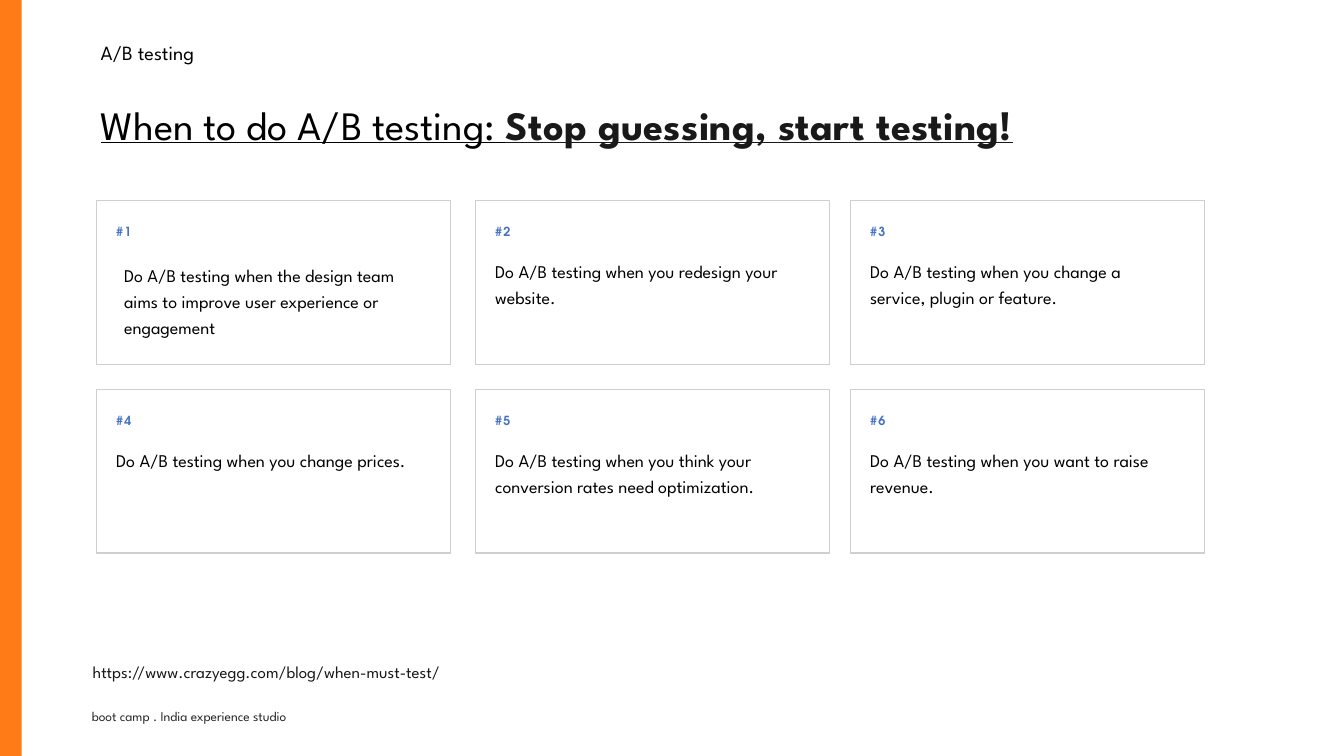
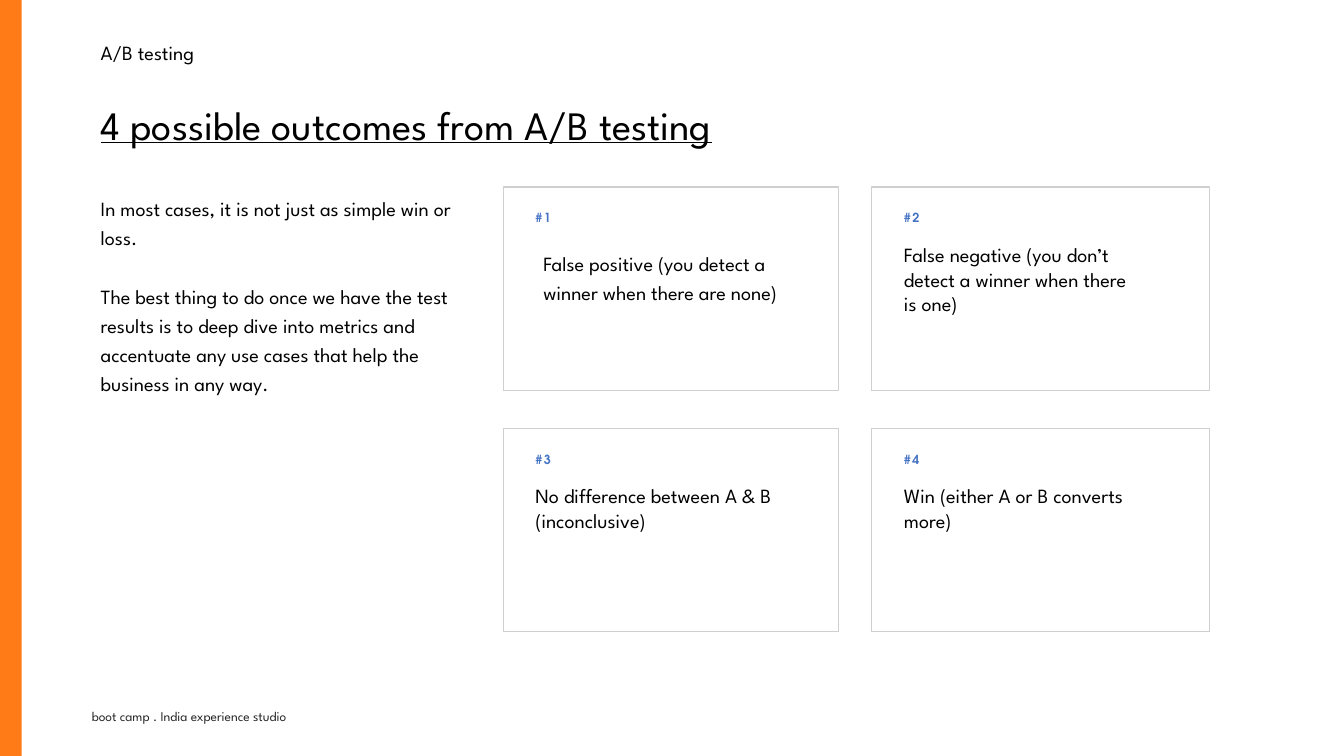
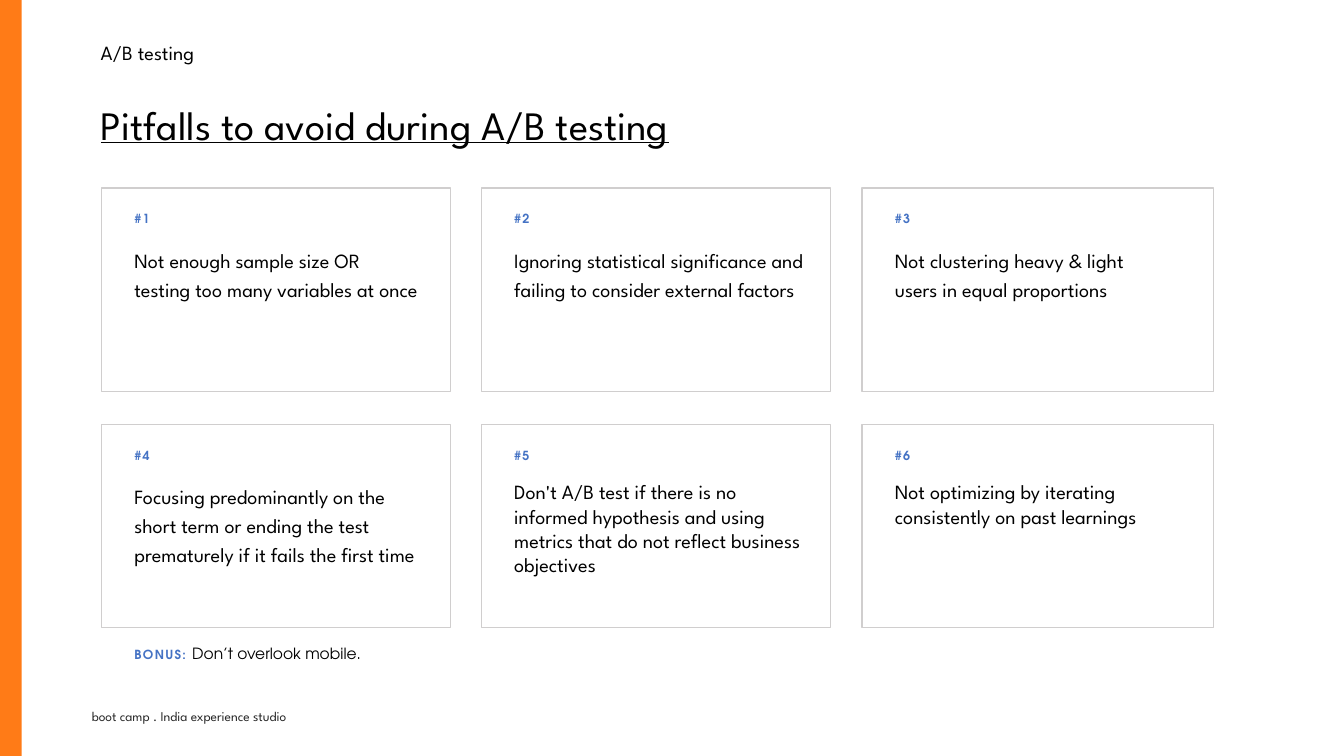
from pptx import Presentation
from pptx.dml.color import RGBColor
from pptx.enum.shapes import MSO_SHAPE as SHAPE
from pptx.enum.text import MSO_ANCHOR as ANCHOR, MSO_AUTO_SIZE as AUTO, PP_ALIGN as ALIGN
from pptx.util import Pt

# Shared look
WIDTH, HEIGHT = 1200, 675
SPARTAN, ADVENTOR = "League Spartan", "TeX Gyre Adventor"
ORANGE, BLUE, GREY = "FF7B17", "4472C4", "D0CECE"
BLACK, INK, FOOT, WHITE = "000000", "191919", "262626", "FFFFFF"
MARGIN = 82.8
SECTION = "A/B testing"
FOOTER = "boot camp . India experience studio"
TEXT_DY, LABEL_DY = 49.7, 20.9

# Cards: (paragraphs, line spacing, whether the text box keeps its insets)
SLIDES = [
    dict(
        title="When to do A/B testing: ",
        strong="Stop guessing, start testing!",
        lefts=[86.4, 424.8, 759.6], widths=[316, 316, 316],
        tops=[179.3, 347.8], height=146,
        indent=17.3, text_widths=[277.2] * 3, size=16,
        cards=[
            (["Do A/B testing when the design team aims to improve user "
              "experience or engagement"], 1.2, True),
            (["Do A/B testing when you redesign your website."], 1.2, False),
            (["Do A/B testing when you change a service, plugin or feature."], 1.2, False),
            (["Do A/B testing when you change prices."], 1.2, False),
            (["Do A/B testing when you think your conversion rates need "
              "optimization."], 1.2, False),
            (["Do A/B testing when you want to raise revenue."], 1.2, False),
        ],
    ),
    dict(
        title="4 possible outcomes from A/B testing",
        lefts=[449.3, 778.3], widths=[299.5, 301.7],
        tops=[167, 382.3], height=181.4,
        indent=28.8, text_widths=[249.8, 208.1], size=18,
        cards=[
            (["False positive (you detect a winner when there are none)"], 1.2, True),
            (["False negative (you don’t detect a winner when there is one)"], 1, False),
            (["No difference between A & B (inconclusive)"], 1, False),
            (["Win (either A or B converts more)"], 1, False),
        ],
    ),
    dict(
        title="Pitfalls to avoid during A/B testing",
        lefts=[90.7, 429.8, 769.7], widths=[311.8, 311.8, 313.9],
        tops=[167.8, 378.7], height=181.4,
        indent=29.3, text_widths=[260, 260, 217], size=18,
        cards=[
            (["Not enough sample size OR", "testing too many variables at once"], 1.2, False),
            (["Ignoring statistical significance and failing to consider "
              "external factors"], 1.2, False),
            (["Not clustering heavy & light users in equal proportions"], 1.2, False),
            (["Focusing predominantly on the short term or ending the test "
              "prematurely if it fails the first time"], 1.2, False),
            (["Don't A/B test if there is no informed hypothesis and using "
              "metrics that do not reflect business objectives"], 1, False),
            (["Not optimizing by iterating consistently on past learnings"], 1, False),
        ],
    ),
]
SOURCE = "https://www.crazyegg.com/blog/when-must-test/"
INTRO = [
    "In most cases, it is not just as simple win or loss.",
    "The best thing to do once we have the test results is to deep dive into "
    "metrics and accentuate any use cases that help the business in any way.",
]
BONUS = ("BONUS: ", "Don’t overlook mobile.")


def rgb(value):
    return RGBColor.from_string(value)


def set_font(font, size, color, name=SPARTAN, bold=False):
    font.name, font.size, font.bold = name, Pt(size), bold
    font.color.rgb = rgb(color)


def add_run(p, text, spacing=0):
    """Add a run with letter spacing in points."""
    r = p.add_run()
    r.text = text
    if spacing:
        r._r.get_or_add_rPr().set("spc", str(round(spacing * 100)))
    return r


def add_rect(s, x, y, w, h, fill, line=None):
    sp = s.shapes.add_shape(SHAPE.RECTANGLE, Pt(x), Pt(y), Pt(w), Pt(h))
    sp.shadow.inherit = False
    sp.fill.solid()
    sp.fill.fore_color.rgb = rgb(fill)
    if line:
        sp.line.color.rgb = rgb(line)
        sp.line.width = Pt(1)
    else:
        sp.line.fill.background()


def add_box(s, x, y, w, h, inset=False):
    tf = s.shapes.add_textbox(Pt(x), Pt(y), Pt(w), Pt(h)).text_frame
    tf.word_wrap = True
    if not inset:
        tf.margin_left = tf.margin_right = tf.margin_top = tf.margin_bottom = 0
    return tf


def add_text(s, x, y, w, h, lines, size, color=BLACK, spacing=1, inset=False, gap=0):
    tf = add_box(s, x, y, w, h, inset)
    for i, line in enumerate(lines):
        p = tf.paragraphs[0] if i == 0 else tf.add_paragraph()
        p.line_spacing = spacing
        if i and gap:
            p.space_before = Pt(gap)
        add_run(p, line)
        set_font(p.font, size, color)


def add_label(s, x, y, w, text):
    p = add_box(s, x, y, w, 13.7).paragraphs[0]
    add_run(p, text, 1.2)
    set_font(p.font, 11.2, BLUE, ADVENTOR, True)
    return p


def add_frame(prs, title, strong=None):
    """Start a slide with band, footer, title and section name."""
    s = prs.slides.add_slide(prs.slide_layouts[5])
    add_rect(s, 0, 0, 19.4, HEIGHT, ORANGE)
    add_text(s, 74.9, 628.6, 600, 21.6, [FOOTER], 12, FOOT, inset=True)

    sp = s.shapes.title
    sp.left, sp.top, sp.width, sp.height = Pt(MARGIN), Pt(74.2), Pt(1034.6), Pt(79.2)
    tf = sp.text_frame
    tf.auto_size, tf.vertical_anchor, tf.word_wrap = AUTO.NONE, ANCHOR.MIDDLE, True
    p = tf.paragraphs[0]
    p.alignment, p.line_spacing = ALIGN.LEFT, 0.9
    add_run(p, title)
    set_font(p.font, 36, BLACK)
    p.font.underline = True
    if strong:
        r = add_run(p, strong, 0.3)
        r.font.bold = True
        r.font.color.rgb = rgb(INK)

    add_text(s, MARGIN, 34.6, 452.2, 23, [SECTION], 18, spacing=0.9, inset=True)
    return s


def add_cards(s, d):
    columns = len(d["lefts"])
    for i, (lines, spacing, inset) in enumerate(d["cards"]):
        row, col = divmod(i, columns)
        x, y = d["lefts"][col], d["tops"][row]
        add_rect(s, x, y, d["widths"][col], d["height"], WHITE, GREY)
        x += d["indent"]
        add_label(s, x, y + LABEL_DY, 120, f"#{i + 1}")
        add_text(s, x, y + TEXT_DY, d["text_widths"][col], 76, lines,
                 d["size"], spacing=spacing, inset=inset)


def main():
    prs = Presentation()
    prs.slide_width, prs.slide_height = Pt(WIDTH), Pt(HEIGHT)
    slides = []
    for d in SLIDES:
        s = add_frame(prs, d["title"], d.get("strong"))
        add_cards(s, d)
        slides.append(s)
    when, outcomes, pitfalls = slides

    # Parts found on one slide only
    add_text(when, MARGIN, 587.5, 498, 20, [SOURCE], 15, INK, spacing=1.2)
    add_text(outcomes, MARGIN, 167.8, 339, 181.4, INTRO, 18,
             spacing=1.2, inset=True, gap=26)
    p = add_label(pitfalls, 120, 575.3, 373.7, BONUS[0])
    set_font(add_run(p, BONUS[1]).font, 13.8, BLACK, ADVENTOR)

    prs.save("out.pptx")


if __name__ == "__main__":
    main()
